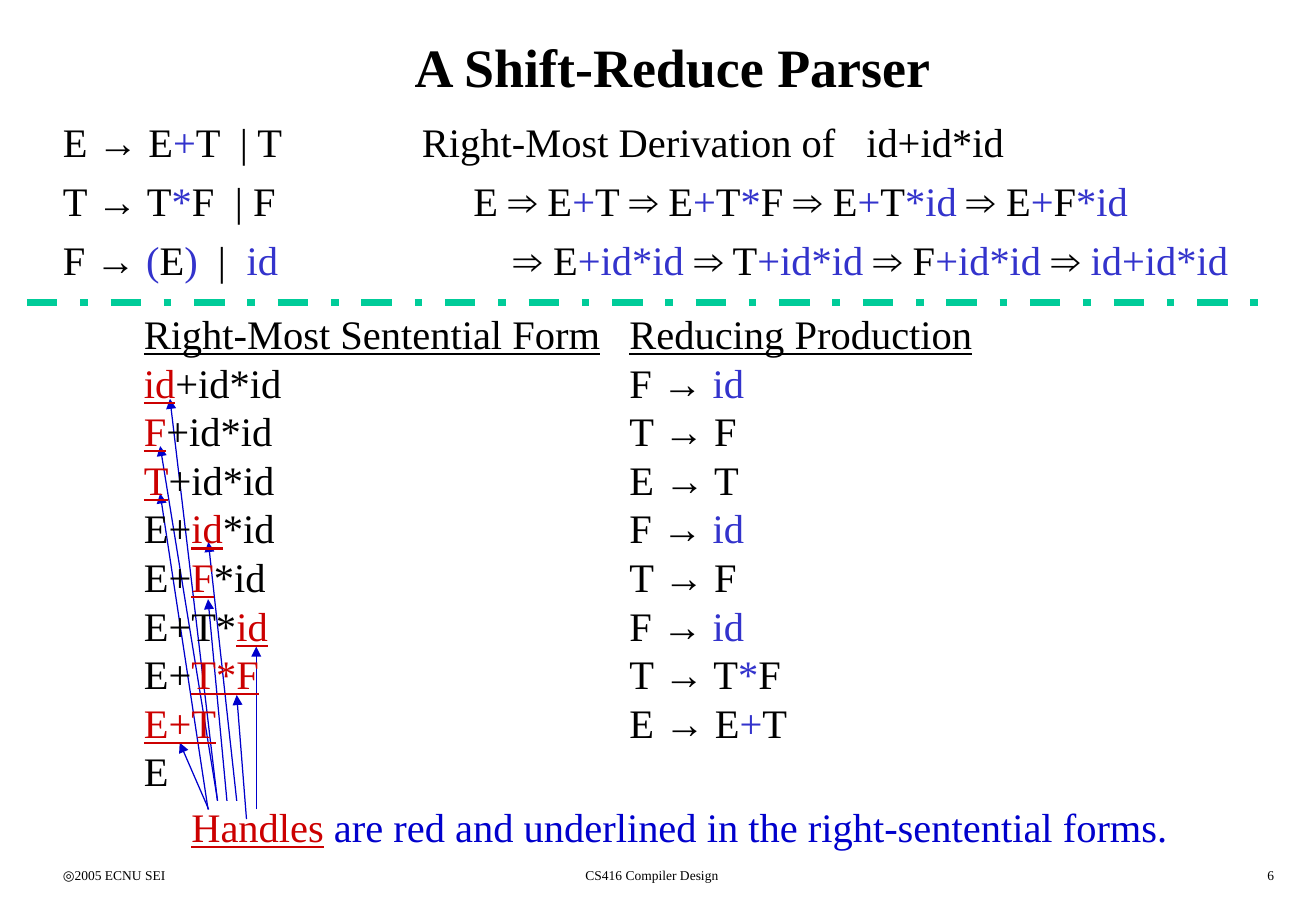
from dataclasses import dataclass
from itertools import groupby

import lxml.etree
import pptx
import pptx.dml.color
import pptx.enum.dml
import pptx.enum.shapes
import pptx.enum.text
import pptx.oxml.ns
import pptx.shapes.connector
import pptx.slide
import pptx.text.text
import pptx.util

Pt = pptx.util.Pt
Align = pptx.enum.text.PP_ALIGN
qn = pptx.oxml.ns.qn


@dataclass(frozen=True)
class Theme:
    font: str = "Times New Roman"
    symbol_font: str = "Arial"
    text: str = "000000"
    terminal: str = "3333CC"
    handle: str = "CC0000"
    note: str = "0000CC"
    divider: str = "00CC99"
    title_size: float = 32
    body_size: float = 24
    footer_size: float = 8


@dataclass(frozen=True)
class Line:
    """Marked text: {terminal}, [handle], <underlined>; tab stops in points."""
    text: str
    tabs: tuple[float, ...] = ()


@dataclass(frozen=True)
class TextBlock:
    left: float
    top: float
    width: float
    height: float
    lines: tuple[Line, ...]
    size: float
    color: str
    align: Align = Align.LEFT
    space_before: float = 0
    line_spacing: float = 1.0


@dataclass(frozen=True)
class Stroke:
    start: tuple[float, float]
    end: tuple[float, float]
    color: str
    width: float
    arrow: bool = False
    dash: pptx.enum.dml.MSO_LINE | None = None


THEME = Theme()
SYMBOLS = "→⇒"
MARKS = {"{": "terminal", "[": "handle", "<": "underlined",
         "}": "plain", "]": "plain", ">": "plain"}

GRAMMAR = (
    Line("E → E{+}T\t| T\tRight-Most Derivation of\tid+id*id", (105, 213, 476.5)),
    Line("T → T{*}F\t| F\tE ⇒ E{+}T ⇒ E{+}T{*}F ⇒ E{+}T{*id} ⇒ E{+}F{*id}",
         (102, 243.5)),
    Line("F → {(}E{)}\t|\t{id}\t⇒ E{+id*id} ⇒ T{+id*id} ⇒ F{+id*id} ⇒ {id+id*id}",
         (92, 109, 267.5)),
)
REDUCTIONS = (
    ("<Right-Most Sentential Form>", "<Reducing Production>"),
    ("[id]+id*id", "F → {id}"),
    ("[F]+id*id", "T → F"),
    ("[T]+id*id", "E → T"),
    ("E+[id]*id", "F → {id}"),
    ("E+[F]*id", "T → F"),
    ("E+T*[id]", "F → {id}"),
    ("E+[T*F]", "T → T{*}F"),
    ("[E+T]", "E → E{+}T"),
)
PRODUCTION_TAB = 288

BLOCKS = (
    TextBlock(30.2, 66, 738, 117, GRAMMAR, THEME.body_size, THEME.text,
              space_before=6),
    TextBlock(78.2, 179.7, 544, 295,
              tuple(Line("\t".join(row), (PRODUCTION_TAB,)) for row in REDUCTIONS)
              + (Line("E"),),
              THEME.body_size, THEME.text),
    TextBlock(106.4, 475, 620, 33,
              (Line("[Handles] are red and underlined in the right-sentential forms."),),
              THEME.body_size, THEME.note, line_spacing=0.9),
    TextBlock(30.2, 510.6, 163, 18, (Line("◎2005 ECNU SEI"),),
              THEME.footer_size, THEME.text),
    TextBlock(240.7, 510.6, 292, 18, (Line("CS416 Compiler Design"),),
              THEME.footer_size, THEME.text, Align.CENTER),
    TextBlock(599.8, 510.6, 163, 18, (Line("6"),),
              THEME.footer_size, THEME.text, Align.RIGHT),
)

HANDLE_POINTERS = (
    ((123.8, 479.8), (106.6, 440.2)),
    ((146.2, 485.5), (140.4, 412)),
    ((152, 479.8), (152, 383.3)),
    ((134.6, 474.7), (123.4, 355.2)),
    ((140.4, 474.7), (123.6, 321.3)),
    ((123.4, 479.8), (95, 292.5)),
    ((129, 474.2), (95, 264.4)),
    ((129, 474.7), (100.8, 236.4)),
)
DIVIDER = Stroke((16, 179.4), (758, 179.4), THEME.divider, 4.5,
                 dash=pptx.enum.dml.MSO_LINE.DASH_DOT)


def rgb(color: str) -> pptx.dml.color.RGBColor:
    return pptx.dml.color.RGBColor.from_string(color)


def add_runs(paragraph: pptx.text.text._Paragraph, text: str, color: str) -> None:
    """Split marked text into runs by role, with arrow symbols in their own font."""
    role = "plain"
    characters: list[tuple[str, str, bool]] = []
    for character in text:
        if character in MARKS:
            role = MARKS[character]
        else:
            characters.append((character, role, character in SYMBOLS))
    colors = {"terminal": THEME.terminal, "handle": THEME.handle}
    for (run_role, symbol), group in groupby(characters, key=lambda item: item[1:]):
        run = paragraph.add_run()
        run.text = "".join(item[0] for item in group)
        run.font.color.rgb = rgb(colors.get(run_role, color))
        if run_role in ("handle", "underlined"):
            run.font.underline = True
        if symbol:
            run.font.name = THEME.symbol_font


def add_tabs(paragraph: pptx.text.text._Paragraph, stops: tuple[float, ...]) -> None:
    tab_list = lxml.etree.SubElement(paragraph._p.get_or_add_pPr(), qn("a:tabLst"))
    for stop in stops:
        lxml.etree.SubElement(tab_list, qn("a:tab"), pos=str(int(Pt(stop))), algn="l")


def add_text_block(slide: pptx.slide.Slide, block: TextBlock) -> None:
    shape = slide.shapes.add_textbox(Pt(block.left), Pt(block.top),
                                     Pt(block.width), Pt(block.height))
    frame = shape.text_frame
    frame.word_wrap = True
    for index, line in enumerate(block.lines):
        paragraph = frame.add_paragraph() if index else frame.paragraphs[0]
        paragraph.alignment = block.align
        paragraph.line_spacing = block.line_spacing
        if index:
            paragraph.space_before = Pt(block.space_before)
        if line.tabs:
            add_tabs(paragraph, line.tabs)
        paragraph.font.name = THEME.font
        paragraph.font.size = Pt(block.size)
        add_runs(paragraph, line.text, block.color)


def add_stroke(slide: pptx.slide.Slide, stroke: Stroke) -> None:
    connector = slide.shapes.add_connector(
        pptx.enum.shapes.MSO_CONNECTOR.STRAIGHT,
        *(Pt(value) for value in stroke.start + stroke.end))
    connector.line.color.rgb = rgb(stroke.color)
    connector.line.width = Pt(stroke.width)
    if stroke.dash is not None:
        connector.line.dash_style = stroke.dash
    properties = connector.element.spPr
    if stroke.arrow:
        lxml.etree.SubElement(properties.find(qn("a:ln")), qn("a:tailEnd"),
                              type="triangle")
    lxml.etree.SubElement(properties, qn("a:effectLst"))


def format_title(slide: pptx.slide.Slide, text: str) -> None:
    title = slide.shapes.title
    title.left, title.top = Pt(30), Pt(12)
    title.width, title.height = Pt(738), Pt(54)
    title.text_frame.auto_size = pptx.enum.text.MSO_AUTO_SIZE.NONE
    title.text_frame.vertical_anchor = pptx.enum.text.MSO_ANCHOR.MIDDLE
    title.text_frame.text = text
    paragraph = title.text_frame.paragraphs[0]
    paragraph.alignment = Align.CENTER
    paragraph.font.name = THEME.font
    paragraph.font.size = Pt(THEME.title_size)
    paragraph.font.bold = True
    paragraph.font.color.rgb = rgb(THEME.text)


def main() -> None:
    presentation = pptx.Presentation()
    presentation.slide_width = Pt(780.48)
    presentation.slide_height = Pt(540)
    slide = presentation.slides.add_slide(presentation.slide_layouts[5])
    format_title(slide, "A Shift-Reduce Parser")
    for start, end in HANDLE_POINTERS:
        add_stroke(slide, Stroke(start, end, THEME.note, 0.75, arrow=True))
    for block in BLOCKS:
        add_text_block(slide, block)
    add_stroke(slide, DIVIDER)
    presentation.save("out.pptx")


if __name__ == "__main__":
    main()
